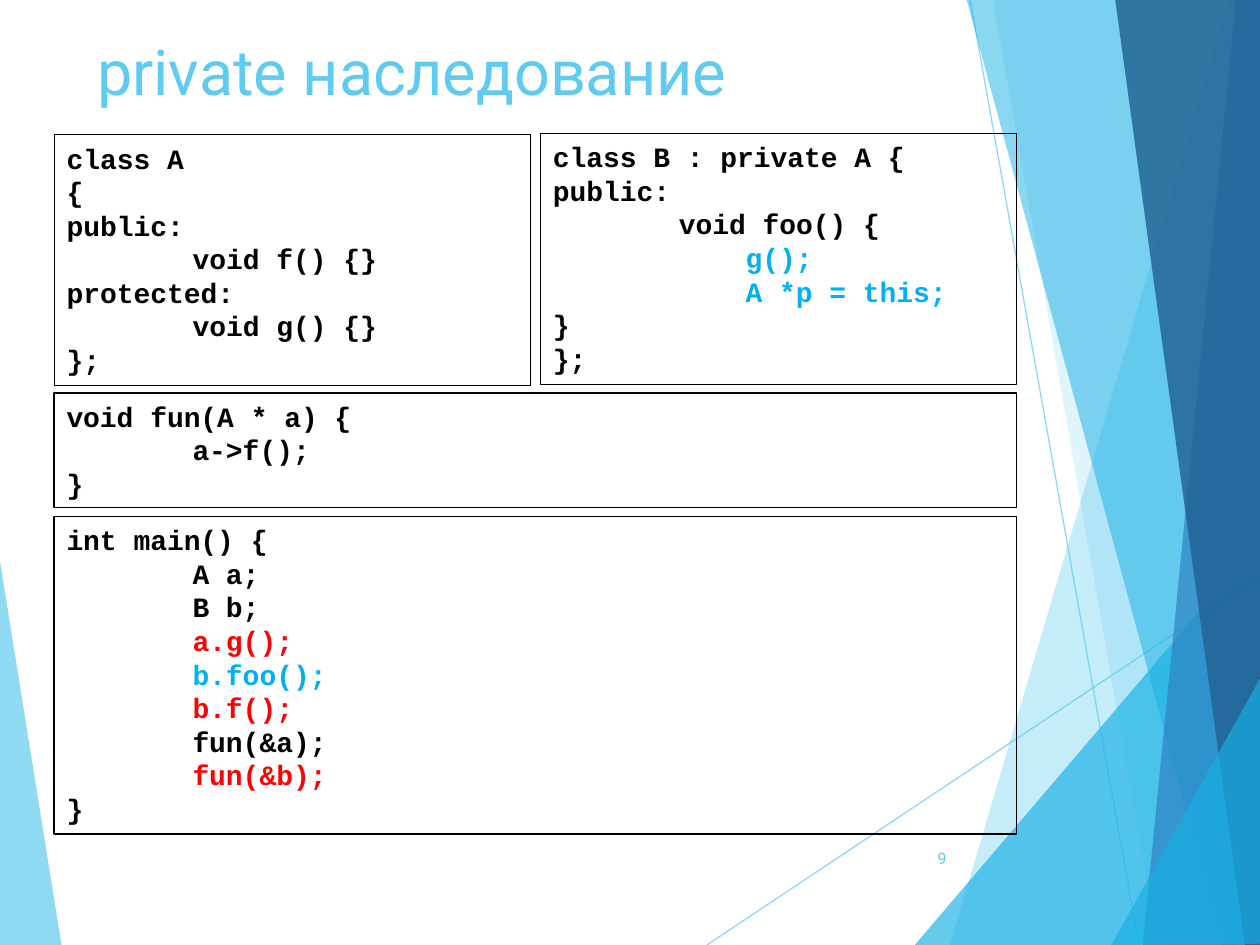
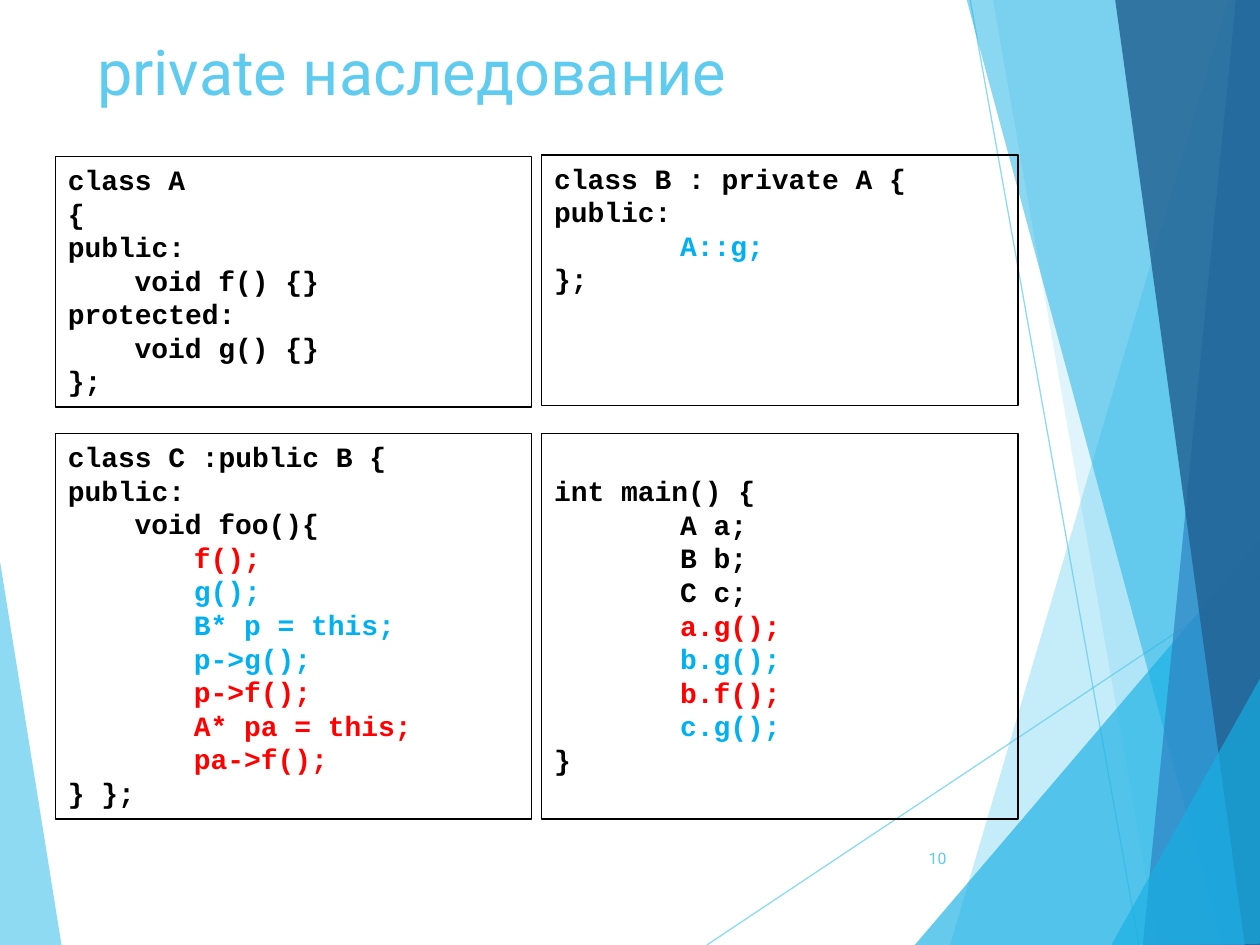
from dataclasses import dataclass

from lxml import etree
from pptx import Presentation
from pptx.dml.color import RGBColor
from pptx.enum.shapes import MSO_CONNECTOR, MSO_SHAPE
from pptx.enum.text import MSO_ANCHOR, MSO_AUTO_SIZE, PP_ALIGN
from pptx.oxml.ns import qn
from pptx.util import Inches, Pt

LEFT, RIGHT = PP_ALIGN.LEFT, PP_ALIGN.RIGHT
TOP, MIDDLE = MSO_ANCHOR.TOP, MSO_ANCHOR.MIDDLE
STRAIGHT, RECTANGLE = MSO_CONNECTOR.STRAIGHT, MSO_SHAPE.RECTANGLE
NO_AUTOFIT = MSO_AUTO_SIZE.NONE


@dataclass(frozen=True)
class Theme:
    accent: str = "5FCBEF"
    cyan: str = "17B0E4"
    blue: str = "2E83C3"
    navy: str = "226292"
    code: str = "000000"
    valid: str = "00B0F0"
    error: str = "FF0000"
    text_font: str = "Roboto"
    code_font: str = "Courier New"
    title_size: float = 36
    number_size: float = 9
    code_size: float = 16
    code_pitch: float = 19.2
    line_width: float = 0.75


THEME = Theme()
CODE, VALID, ERROR = THEME.code, THEME.valid, THEME.error


def add_run(paragraph, text, font, size, color, bold=False):
    run = paragraph.add_run()
    run.text = text
    run.font.name = font
    run.font.size = Pt(size)
    run.font.bold = bold
    run.font.color.rgb = RGBColor.from_string(color)


def set_color(fill, color, opacity):
    fill.solid()
    fill.fore_color.rgb = RGBColor.from_string(color)
    for srgb in fill._xPr.iter(qn("a:srgbClr")):
        etree.SubElement(srgb, qn("a:alpha"), val=str(opacity * 1000))


# Background: outline points, colour, opacity in percent
RAYS = [((5.61, 7.5), (10.01, 4.57)), ((7.7, 0), (9.04, 7.5))]
FACETS = [
    ([(-0.01, 4.39), (0.49, 7.51), (-0.01, 7.5)], THEME.accent, 70),
    ([(9.75, 0), (7.54, 7.5), (10.02, 7.51), (10.01, 0.01)], THEME.accent, 36),
    ([(7.88, -0.01), (9.19, 7.5), (10.01, 7.5), (10.01, -0.01)], THEME.accent, 20),
    ([(7.26, 7.5), (10, 4.29), (10.01, 7.5)], THEME.cyan, 66),
    ([(7.67, -0.01), (9.7, 7.5), (10.01, 7.49), (10.01, -0.01)], THEME.cyan, 50),
    ([(9.81, -0.01), (9.07, 7.5), (10.01, 7.5), (10, -0.01)], THEME.blue, 70),
    ([(8.85, -0.01), (9.88, 7.5), (10.02, 7.5), (10, -0.01)], THEME.navy, 82),
    ([(8.82, 7.5), (10.02, 5.35), (10.02, 7.49)], THEME.cyan, 66),
]

# Code: each line is its indent in inches, text and colour
SPACES, TAB = 0.53, 1
TAB_SPACES = TAB + SPACES
COLUMN, FULL = 3.78, 7.64
INSET, LINE_INSET = 0.05, 0.32


def class_a(indent):
    return [
        (0, "class A", CODE),
        (0, "{", CODE),
        (0, "public:", CODE),
        (indent, "void f() {}", CODE),
        (0, "protected:", CODE),
        (indent, "void g() {}", CODE),
        (0, "};", CODE),
    ]


class_b_calls = [
    (0, "class B : private A {", CODE),
    (0, "public:", CODE),
    (TAB, "void foo() {", CODE),
    (TAB_SPACES, "g();", VALID),
    (TAB_SPACES, "A *p = this;", VALID),
    (0, "}", CODE),
    (0, "};", CODE),
]
fun = [
    (0, "void fun(A * a) {", CODE),
    (TAB, "a->f();", CODE),
    (0, "}", CODE),
]
main_calls = [
    (0, "int main() {", CODE),
    (TAB, "A a;", CODE),
    (TAB, "B b;", CODE),
    (TAB, "a.g();", ERROR),
    (TAB, "b.foo();", VALID),
    (TAB, "b.f();", ERROR),
    (TAB, "fun(&a);", CODE),
    (TAB, "fun(&b);", ERROR),
    (0, "}", CODE),
]
class_b_using = [
    (0, "class B : private A {", CODE),
    (0, "public:", CODE),
    (TAB, "A::g;", VALID),
    (0, "};", CODE),
]
class_c = [
    (0, "class C :public B {", CODE),
    (0, "public:", CODE),
    (SPACES, "void foo(){", CODE),
    (TAB, "f();", ERROR),
    (TAB, "g();", VALID),
    (TAB, "B* p = this;", VALID),
    (TAB, "p->g();", VALID),
    (TAB, "p->f();", ERROR),
    (TAB, "A* pa = this;", ERROR),
    (TAB, "pa->f();", ERROR),
    (0, "} };", CODE),
]
main_using = [
    (0, "int main() {", CODE),
    (TAB, "A a;", CODE),
    (TAB, "B b;", CODE),
    (TAB, "C c;", CODE),
    (TAB, "a.g();", ERROR),
    (TAB, "b.g();", VALID),
    (TAB, "b.f();", ERROR),
    (TAB, "c.g();", VALID),
    (0, "}", CODE),
]

# Slides: page number, then listings as (left, top, width, height), top inset, lines
SLIDES = [
    (9, [
        ((0.43, 1.07, COLUMN, 1.99), INSET, class_a(TAB)),
        ((4.29, 1.06, COLUMN, 1.99), INSET, class_b_calls),
        ((0.43, 3.12, FULL, 0.91), INSET, fun),
        ((0.43, 4.1, FULL, 2.52), INSET, main_calls),
    ]),
    (10, [
        ((0.44, 1.24, COLUMN, 1.99), INSET, class_a(SPACES)),
        ((4.3, 1.23, COLUMN, 1.99), INSET, class_b_using),
        ((0.44, 3.44, COLUMN, 3.06), INSET, class_c),
        ((4.3, 3.44, COLUMN, 3.06), LINE_INSET, main_using),
    ]),
]

prs = Presentation()
prs.slide_width, prs.slide_height = Inches(10), Inches(7.5)
layout = prs.slide_layouts.get_by_name("Title Only")

# Only the title placeholder stays on the layout
for placeholder in list(layout.placeholders):
    if placeholder.placeholder_format.idx != 0:
        placeholder.element.getparent().remove(placeholder.element)

slides = [prs.slides.add_slide(layout) for _ in SLIDES]

# Facets and rays are drawn once, then moved to the shared layout
drawing = slides[0].shapes
background = []
for points, color, opacity in FACETS:
    outline = [(Inches(x), Inches(y)) for x, y in points]
    builder = drawing.build_freeform(*outline[0])
    builder.add_line_segments(outline[1:], close=True)
    facet = builder.convert_to_shape()
    facet.shadow.inherit = False
    set_color(facet.fill, color, opacity)
    facet.line.fill.background()
    background.append(facet.element)

rays = []
for start, end in RAYS:
    ray = drawing.add_connector(STRAIGHT, *map(Inches, start + end))
    ray.line.width = Pt(THEME.line_width)
    set_color(ray.line.fill, THEME.accent, 70)
    etree.SubElement(ray.element.spPr, qn("a:effectLst"))
    rays.append(ray.element)
background[1:1] = rays

for position, element in enumerate(background, start=2):
    layout.shapes.element.insert(position, element)

for slide, (number, listings) in zip(slides, SLIDES):
    # Title
    title = slide.shapes.title
    title.left, title.top = Inches(0.67), Inches(0.21)
    title.width, title.height = Inches(6.94), Inches(1.44)
    title.text_frame.auto_size = NO_AUTOFIT
    title.text_frame.vertical_anchor = TOP
    heading = title.text_frame.paragraphs[0]
    heading.alignment = LEFT
    add_run(heading, "private наследование", THEME.text_font, THEME.title_size, THEME.accent)

    # Page number
    page = slide.shapes.add_textbox(*map(Inches, (7.05, 6.61, 0.56, 0.4))).text_frame
    page.word_wrap = True
    page.vertical_anchor = MIDDLE
    page.paragraphs[0].alignment = RIGHT
    add_run(page.paragraphs[0], str(number), THEME.text_font, THEME.number_size, THEME.accent)

    # Code listings
    for bounds, top_inset, lines in listings:
        listing = slide.shapes.add_shape(RECTANGLE, *map(Inches, bounds))
        listing.shadow.inherit = False
        listing.fill.background()
        listing.line.color.rgb = RGBColor.from_string(THEME.code)
        listing.line.width = Pt(THEME.line_width)
        frame = listing.text_frame
        frame.word_wrap = True
        frame.vertical_anchor = TOP
        frame.margin_top = Inches(top_inset)
        for row, (indent, text, color) in enumerate(lines):
            paragraph = frame.add_paragraph() if row else frame.paragraphs[0]
            paragraph.alignment = LEFT
            paragraph.line_spacing = Pt(THEME.code_pitch)
            paragraph._p.get_or_add_pPr().set("marL", str(Inches(indent)))
            add_run(paragraph, text, THEME.code_font, THEME.code_size, color, bold=True)

prs.save("out.pptx")
